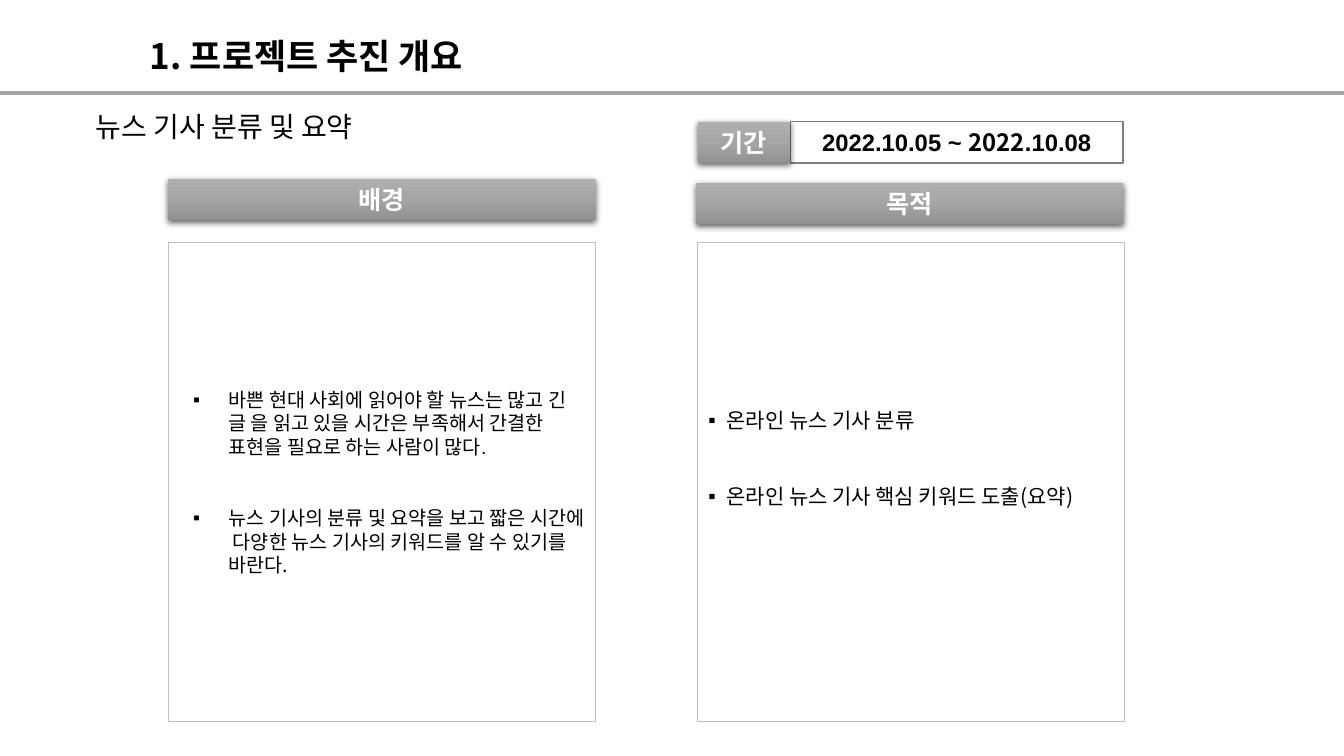
import copy

import pptx
import pptx.dml.color
import pptx.enum.shapes
import pptx.enum.text
import pptx.oxml
import pptx.oxml.ns
import pptx.util

Cm = pptx.util.Cm
Pt = pptx.util.Pt
RGBColor = pptx.dml.color.RGBColor
ALIGN = pptx.enum.text.PP_ALIGN
ANCHOR = pptx.enum.text.MSO_ANCHOR
qn = pptx.oxml.ns.qn

BLACK = RGBColor(0x00, 0x00, 0x00)
WHITE = RGBColor(0xFF, 0xFF, 0xFF)
RULE_GRAY = RGBColor(0xA5, 0xA5, 0xA5)
PANEL_GRAY = RGBColor(0xBF, 0xBF, 0xBF)
DATE_GRAY = RGBColor(0x7F, 0x7F, 0x7F)
HEADING_STOPS = [
    (0, RGBColor(0xAF, 0xAF, 0xAF)),
    (50, RULE_GRAY),
    (100, RGBColor(0x91, 0x91, 0x91)),
]
LATIN = "Arial"
KOREAN = "Noto Sans CJK KR"
NAMESPACE = 'xmlns:a="http://schemas.openxmlformats.org/drawingml/2006/main"'
SHADOW = (
    f'<a:outerShdw {NAMESPACE} blurRad="57150" dist="19050" dir="5400000" '
    'algn="ctr" rotWithShape="0"><a:srgbClr val="000000">'
    '<a:alpha val="62000"/></a:srgbClr></a:outerShdw>'
)

SLIDE_WIDTH = 33.87
BAR_HEIGHT = 1.04
COLUMN_WIDTH = 10.77
LEFT_COLUMN = 4.24
RIGHT_COLUMN = 17.58
PANEL_TOP = 6.12
PANEL_HEIGHT = 12.07
PERIOD_TOP = 3.07
PERIOD_LABEL_WIDTH = 2.34


class OverviewSlide:
    def __init__(self, slide):
        self.shapes = slide.shapes

    def add_runs(self, paragraph, runs, size, color=BLACK, bold=False):
        """Add (text, font name) runs in one style to a paragraph."""
        for text, font_name in runs:
            run = paragraph.add_run()
            run.text = text
            style = {"name": font_name, "size": Pt(size), "bold": bold}
            for attribute, value in style.items():
                setattr(run.font, attribute, value)
            run.font.color.rgb = color

    def text(self, left, top, width, height, text, size, bold=False, wrap=True):
        shape = self.shapes.add_textbox(Cm(left), Cm(top), Cm(width), Cm(height))
        frame = shape.text_frame
        frame.word_wrap = wrap
        frame.auto_size = pptx.enum.text.MSO_AUTO_SIZE.SHAPE_TO_FIT_TEXT
        self.add_runs(frame.paragraphs[0], [(text, KOREAN)], size, bold=bold)

    def box(self, left, top, width, height):
        shape = self.shapes.add_shape(
            pptx.enum.shapes.MSO_SHAPE.RECTANGLE,
            Cm(left), Cm(top), Cm(width), Cm(height),
        )
        shape.shadow.inherit = False
        shape.text_frame.word_wrap = True
        shape.text_frame.vertical_anchor = ANCHOR.MIDDLE
        return shape

    def outlined_box(self, left, top, width, height, line_color, line_width):
        shape = self.box(left, top, width, height)
        shape.fill.solid()
        shape.fill.fore_color.rgb = WHITE
        shape.line.color.rgb = line_color
        shape.line.width = Pt(line_width)
        return shape

    def heading(self, left, top, width, text):
        shape = self.box(left, top, width, BAR_HEIGHT)
        shape.line.fill.background()
        shape.fill.gradient()
        shape.fill.gradient_angle = 270
        properties = shape.element.spPr
        stop_list = properties.find(".//" + qn("a:gsLst"))
        stop_list.append(copy.deepcopy(stop_list[-1]))
        for stop, (position, color) in zip(shape.fill.gradient_stops, HEADING_STOPS):
            stop.position = position / 100
            stop.color.rgb = color
        properties.find(qn("a:effectLst")).append(pptx.oxml.parse_xml(SHADOW))
        paragraph = shape.text_frame.paragraphs[0]
        paragraph.alignment = ALIGN.CENTER
        self.add_runs(paragraph, [(text, LATIN)], 18, WHITE, bold=True)

    def date_box(self, left, top, width, runs):
        shape = self.outlined_box(left, top, width, BAR_HEIGHT, DATE_GRAY, 1)
        paragraph = shape.text_frame.paragraphs[0]
        paragraph.alignment = ALIGN.CENTER
        self.add_runs(paragraph, runs, 17, bold=True)

    def bullet_panel(self, left, items, size, margin, hanging, gap, bottom=0.13):
        shape = self.outlined_box(
            left, PANEL_TOP, COLUMN_WIDTH, PANEL_HEIGHT, PANEL_GRAY, 0.75
        )
        frame = shape.text_frame
        frame.margin_bottom = Cm(bottom)
        for index, runs in enumerate(items):
            paragraph = frame.add_paragraph() if index else frame.paragraphs[0]
            paragraph.alignment = ALIGN.LEFT
            if index:
                paragraph.space_before = Pt(gap)
            self.bullet(paragraph, margin, hanging)
            self.add_runs(paragraph, runs, size)

    def bullet(self, paragraph, margin, hanging):
        properties = paragraph._p.get_or_add_pPr()
        properties.set("marL", str(Cm(margin)))
        properties.set("indent", str(-Cm(hanging)))
        for xml in (
            f'<a:buClr {NAMESPACE}><a:srgbClr val="{BLACK}"/></a:buClr>',
            f'<a:buFont {NAMESPACE} typeface="{LATIN}"/>',
            f'<a:buChar {NAMESPACE} char="▪"/>',
        ):
            properties.append(pptx.oxml.parse_xml(xml))

    def rule(self, top):
        line = self.shapes.add_connector(
            pptx.enum.shapes.MSO_CONNECTOR.STRAIGHT,
            Cm(0), Cm(top), Cm(SLIDE_WIDTH), Cm(top),
        )
        line.line.color.rgb = RULE_GRAY
        line.line.width = Pt(3)
        effects = pptx.oxml.parse_xml(f"<a:effectLst {NAMESPACE}/>")
        line.element.spPr.append(effects)


def main():
    presentation = pptx.Presentation()
    presentation.slide_width = Cm(SLIDE_WIDTH)
    presentation.slide_height = Cm(19.05)
    slide = presentation.slides.add_slide(presentation.slide_layouts[6])
    overview = OverviewSlide(slide)

    overview.text(3.53, 0.74, 9.04, 1.32, "1. 프로젝트 추진 개요", 25, bold=True, wrap=False)
    overview.text(2.16, 2.64, 11.43, 1.12, "뉴스 기사 분류 및 요약", 20)

    overview.heading(LEFT_COLUMN, 4.5, COLUMN_WIDTH, "배경")
    background = [
        [("바쁜 현대 사회에 읽어야 할 뉴스는 많고 긴 글 을 읽고 있을 시간은 "
          "부족해서 간결한 표현을 필요로 하는 사람이 많다.", LATIN)],
        [("뉴스 기사의 분류 및 요약을 보고 짧은 시간에  다양한 뉴스 기사의 "
          "키워드를 알 수 있기를 바란다.", KOREAN)],
    ]
    overview.bullet_panel(LEFT_COLUMN, background, 14, 1.27, 0.89, gap=34)

    overview.heading(17.53, 4.6, COLUMN_WIDTH, "목적")
    goals = [
        [("온라인 ", LATIN), ("뉴스 기사 분류", KOREAN)],
        [("온라인 뉴스 기사 핵심 키워드 도출(요약)", KOREAN)],
    ]
    overview.bullet_panel(RIGHT_COLUMN, goals, 15, 0.48, 0.46, gap=36, bottom=1.35)

    dates = [("2022.10.05 ~ ", LATIN), ("2022", KOREAN), (".10.08", LATIN)]
    date_left = RIGHT_COLUMN + PERIOD_LABEL_WIDTH
    overview.date_box(date_left, PERIOD_TOP, 8.38, dates)
    overview.heading(RIGHT_COLUMN, PERIOD_TOP, PERIOD_LABEL_WIDTH, "기간")

    overview.rule(2.34)
    presentation.save("out.pptx")


if __name__ == "__main__":
    main()
